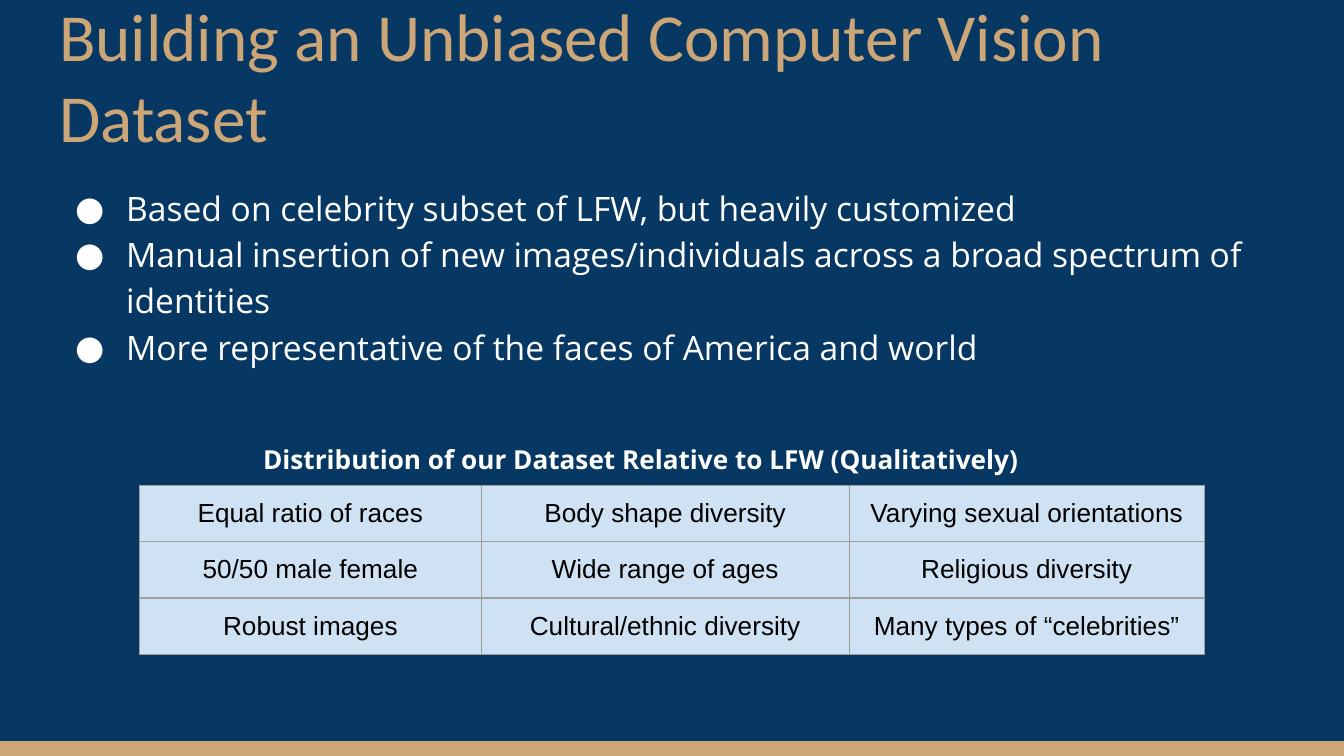
from lxml.etree import SubElement
from pptx import Presentation
from pptx.dml.color import RGBColor
from pptx.enum.shapes import MSO_SHAPE
from pptx.enum.text import MSO_ANCHOR, MSO_AUTO_SIZE, PP_ALIGN
from pptx.oxml import parse_xml
from pptx.oxml.ns import nsdecls, qn
from pptx.util import Inches, Pt

# Content
TITLE = "Building an Unbiased Computer Vision Dataset"
BULLETS = [
    "Based on celebrity subset of LFW, but heavily customized",
    "Manual insertion of new images/individuals across a broad spectrum of identities",
    "More representative of the faces of America and world",
]
CAPTION = "Distribution of our Dataset Relative to LFW (Qualitatively)"
ROWS = [
    ["Equal ratio of races", "Body shape diversity", "Varying sexual orientations"],
    ["50/50 male female", "Wide range of ages", "Religious diversity"],
    ["Robust images", "Cultural/ethnic diversity", "Many types of “celebrities”"],
]

# Layout and formats
W = 10
H = W * 9 / 16
MARGIN, BAND_H = 0.34, 0.11
COL_W, ROW_H = [2.54, 2.74, 2.64], 0.42
NAVY, GOLD, WHITE, PALE, GREY = "073763", "CCA677", "FFFFFF", "CFE2F3", "9E9E9E"
TITLE_FMT = dict(size=Pt(36), name="Calibri", color=GOLD, bold=False)
BODY_FMT = dict(size=Pt(18), name="Open Sans", color=WHITE)
CAPTION_FMT = dict(size=Pt(14), name="Open Sans", color=WHITE, bold=True)
CELL_FMT = dict(size=Pt(14), name="Arial", color="000000")


def rgb(value):
    return RGBColor.from_string(value)


def box(*lengths):
    return [Inches(v) for v in lengths]


def paint(fill, color):
    fill.solid()
    fill.fore_color.rgb = rgb(color)


def write(p, text, fmt):
    r = p.add_run()
    r.text = text
    for key, value in fmt.items():
        if key == "color":
            r.font.color.rgb = rgb(value)
        else:
            setattr(r.font, key, value)


def set_margins(target):
    for side in ("left", "right", "top", "bottom"):
        setattr(target, f"margin_{side}", Inches(0.1))


def set_frame(tf, anchor=MSO_ANCHOR.TOP):
    tf.word_wrap = True
    tf.auto_size = MSO_AUTO_SIZE.NONE
    tf.vertical_anchor = anchor
    set_margins(tf)


def add_bullet(p):
    pPr = p._p.get_or_add_pPr()
    pPr.set("marL", str(Inches(0.5)))
    pPr.set("indent", str(Inches(-0.38)))
    SubElement(SubElement(pPr, qn("a:buClr")), qn("a:srgbClr")).set("val", WHITE)
    SubElement(pPr, qn("a:buFont")).set("typeface", "Open Sans")
    SubElement(pPr, qn("a:buChar")).set("char", "●")
    p.line_spacing = 1.15


def add_borders(cell):
    tcPr = cell._tc.get_or_add_tcPr()
    for i, side in enumerate("LRTB"):
        tcPr.insert(i, parse_xml(
            f'<a:ln{side} {nsdecls("a")} w="{Pt(0.75)}"><a:solidFill>'
            f'<a:srgbClr val="{GREY}"/></a:solidFill></a:ln{side}>'))


prs = Presentation()
prs.slide_width, prs.slide_height = box(W, H)
s = prs.slides.add_slide(prs.slide_layouts[5])
paint(s.background.fill, NAVY)

# Bottom band
sp = s.shapes.add_shape(MSO_SHAPE.RECTANGLE, *box(0, H - BAND_H, W, BAND_H))
sp.shadow.inherit = False
paint(sp.fill, GOLD)
sp.line.fill.background()

# Title
sp = s.shapes.title
sp.left, sp.top, sp.width, sp.height = box(MARGIN, 0.14, W - 2 * MARGIN, 1.12)
set_frame(sp.text_frame, MSO_ANCHOR.BOTTOM)
p = sp.text_frame.paragraphs[0]
p.alignment = PP_ALIGN.LEFT
write(p, TITLE, TITLE_FMT)

# Bullets
tf = s.shapes.add_textbox(*box(MARGIN, 1.25, W - 2 * MARGIN, 3.75)).text_frame
set_frame(tf)
for i, text in enumerate(BULLETS):
    p = tf.add_paragraph() if i else tf.paragraphs[0]
    add_bullet(p)
    write(p, text, BODY_FMT)

# Table
table = s.shapes.add_table(len(ROWS), len(COL_W), *box(
    (W - sum(COL_W)) / 2, 3.61, sum(COL_W), ROW_H * len(ROWS))).table
table.first_row = table.horz_banding = False
for col, width in zip(table.columns, COL_W):
    col.width = Inches(width)
for row, texts in zip(table.rows, ROWS):
    row.height = Inches(ROW_H)
    for cell, text in zip(row.cells, texts):
        set_margins(cell)
        paint(cell.fill, PALE)
        add_borders(cell)
        p = cell.text_frame.paragraphs[0]
        p.alignment = PP_ALIGN.CENTER
        write(p, text, CELL_FMT)

# Table caption
tf = s.shapes.add_textbox(*box(1.86, 3.2, 6.56, 0.29)).text_frame
set_frame(tf)
write(tf.paragraphs[0], CAPTION, CAPTION_FMT)

prs.save("out.pptx")
